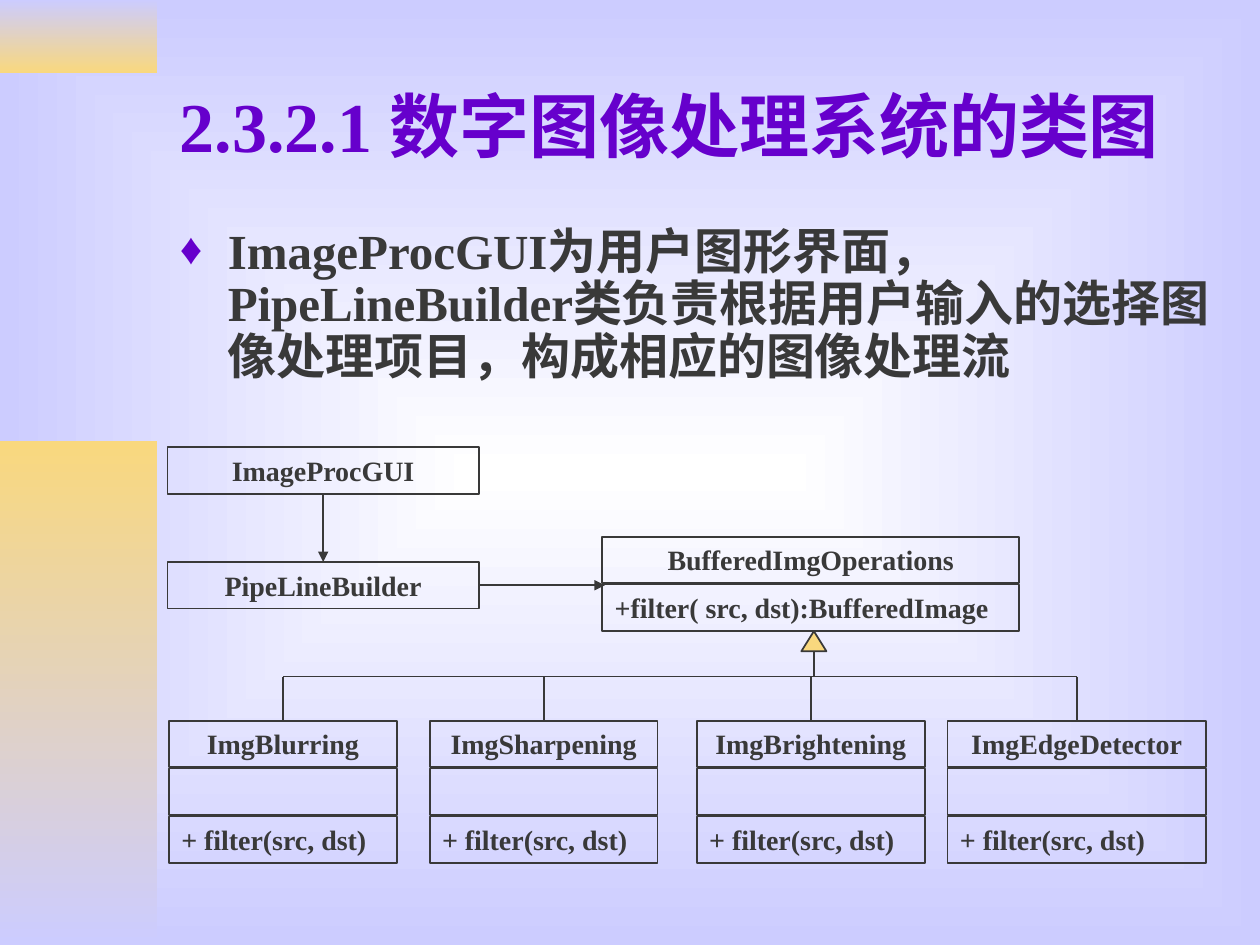
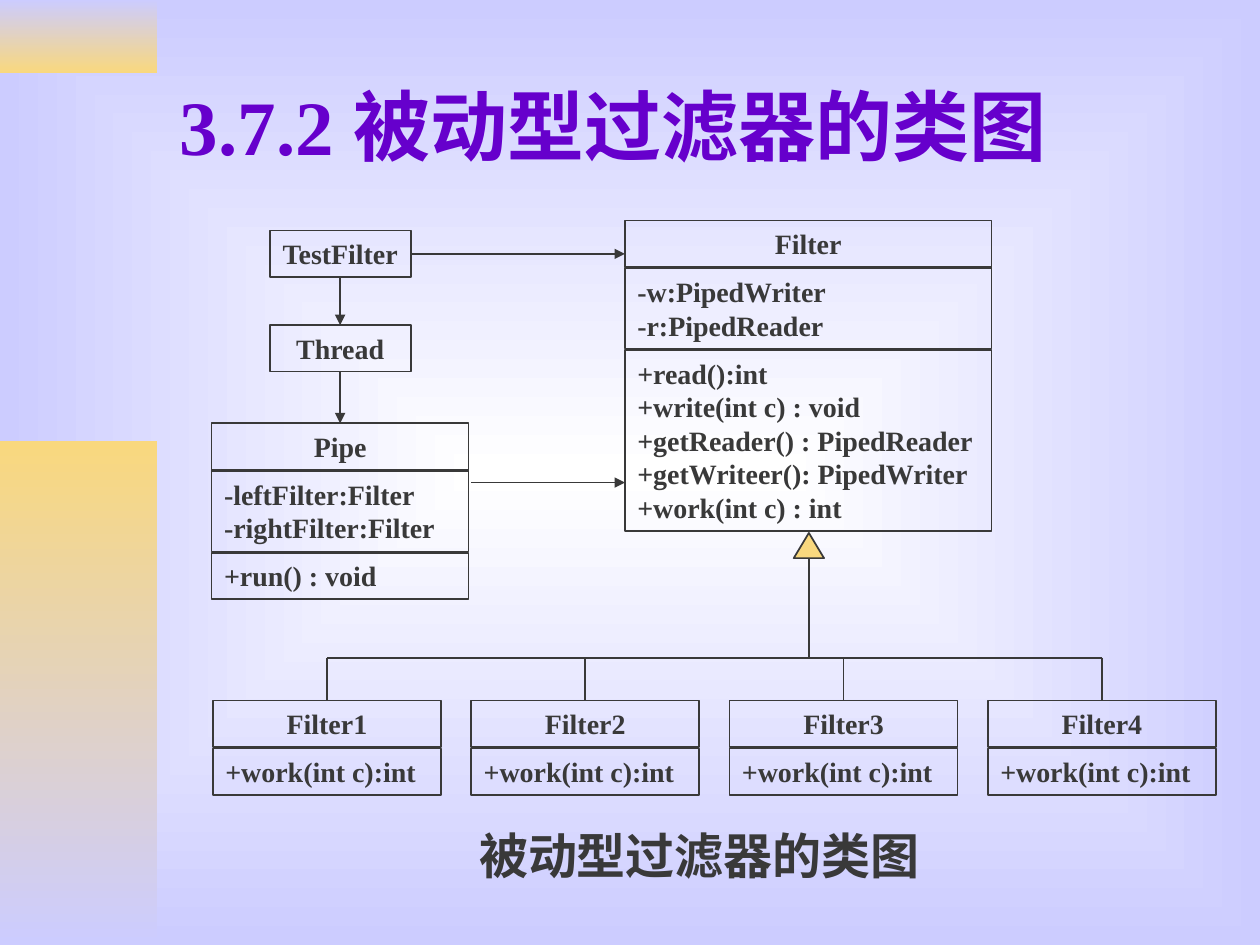
from dataclasses import dataclass

from lxml.etree import SubElement
from pptx import Presentation
from pptx.dml.color import RGBColor
from pptx.enum.lang import MSO_LANGUAGE_ID
from pptx.enum.shapes import MSO_CONNECTOR, MSO_SHAPE
from pptx.enum.text import MSO_ANCHOR, PP_ALIGN
from pptx.oxml.ns import qn
from pptx.util import Inches, Pt


@dataclass(frozen=True)
class Theme:
    font: str = "Times New Roman"
    title: RGBColor = RGBColor(0x66, 0x00, 0xCC)
    ink: RGBColor = RGBColor(0x39, 0x39, 0x39)
    gold: RGBColor = RGBColor(0xF9, 0xD8, 0x7E)
    lavender: RGBColor = RGBColor(0xCC, 0xCC, 0xFF)
    white: RGBColor = RGBColor(0xFF, 0xFF, 0xFF)
    body_size: int = 28
    class_size: int = 16
    line_width: int = 1


theme = Theme()
deck = Presentation()
deck.slide_width, deck.slide_height = Inches(10), Inches(7.5)

# Grid of 100 columns and 75 rows
COLUMN = deck.slide_width / 100
ROW = deck.slide_height / 75

# Class box sections: one text line, each further line, gap between sections
SECTION, EXTRA_LINE, GAP = 3.7, 2.67, 0.1
TOP, BOTTOM, RIGHT = 0, 2, 3


def write(box, lines, size, color, align=PP_ALIGN.LEFT, anchor=MSO_ANCHOR.TOP):
    frame = box.text_frame
    frame.word_wrap = True
    frame.vertical_anchor = anchor
    for index, line in enumerate(lines):
        para = frame.paragraphs[0] if index == 0 else frame.add_paragraph()
        para.alignment = align
        span = para.add_run()
        span.text = line
        span.font.name = theme.font
        span.font.size = Pt(size)
        span.font.bold = True
        span.font.color.rgb = color
        span.font.language_id = MSO_LANGUAGE_ID.SIMPLIFIED_CHINESE
    return frame.paragraphs[0]


def connect(page, boxes, start, end, arrow=False):
    """Each end is a grid point or a (class name, side) pair."""
    points = [(0, 0) if end_[0] in boxes else end_ for end_ in (start, end)]
    (x1, y1), (x2, y2) = [(int(x * COLUMN), int(y * ROW)) for x, y in points]
    line = page.shapes.add_connector(MSO_CONNECTOR.STRAIGHT, x1, y1, x2, y2)
    if start[0] in boxes:
        line.begin_connect(boxes[start[0]], start[1])
    if end[0] in boxes:
        line.end_connect(boxes[end[0]], end[1])
    line.line.color.rgb = theme.ink
    line.line.width = Pt(theme.line_width)
    if arrow:
        SubElement(line.line._get_or_add_ln(), qn("a:tailEnd"), type="triangle")
    SubElement(line._element.spPr, qn("a:effectLst"))


# Shared background: white centre fading to lavender
backdrop = deck.slide_master.background.fill
backdrop.gradient()
for stop, color in zip(backdrop.gradient_stops, (theme.white, theme.lavender)):
    stop.color.rgb = color
linear = deck.slide_master.element.xpath(".//p:bg//a:lin")[0]
fill_element = linear.getparent()
fill_element.remove(linear)
radial = SubElement(fill_element, qn("a:path"), path="rect")
SubElement(radial, qn("a:fillToRect"), l="50000", t="50000", r="50000", b="50000")

# Shared side bands: top row, height, upper colour, lower colour
bands = [(0, 5.8, theme.lavender, theme.gold), (35, 40, theme.gold, theme.lavender)]

# Class: name -> left, top, width, sections below the name
image_filters = ["ImgBlurring", "ImgSharpening", "ImgBrightening", "ImgEdgeDetector"]
image_lefts = [13.4, 34.1, 55.3, 75.2]
image_widths = [18.1, 18.1, 18.1, 20.5]
image_classes = {
    "ImageProcGUI": (13.3, 35.5, 24.7, []),
    "PipeLineBuilder": (13.3, 44.6, 24.7, []),
    "BufferedImgOperations": (47.8, 42.6, 33.1, [["+filter( src, dst):BufferedImage"]]),
}
for name, left, width in zip(image_filters, image_lefts, image_widths):
    image_classes[name] = (left, 57.2, width, [[""], ["+ filter(src, dst)"]])

passive_filters = [f"Filter{number}" for number in range(1, 5)]
passive_classes = {
    "TestFilter": (21.4, 18.3, 11.2, []),
    "Thread": (21.4, 25.8, 11.2, []),
    "Pipe": (16.8, 33.6, 20.4,
             [["-leftFilter:Filter", "-rightFilter:Filter"], ["+run() : void"]]),
    "Filter": (49.6, 17.5, 29.1, [
        ["-w:PipedWriter", "-r:PipedReader"],
        ["+read():int", "+write(int c) : void", "+getReader() : PipedReader",
         "+getWriteer(): PipedWriter", "+work(int c) : int"],
    ]),
}
for index, name in enumerate(passive_filters):
    passive_classes[name] = (16.9 + 20.5 * index, 55.6, 18.1, [["+work(int c):int"]])

# Inheritance: triangle left, top, width, height, then the row of the shared line
pages = [
    dict(
        title="2.3.2.1 数字图像处理系统的类图", title_size=40,
        body="ImageProcGUI为用户图形界面，PipeLineBuilder类负责根据用户输入的"
             "选择图像处理项目，构成相应的图像处理流",
        body_area=(13.3, 17.5, 84.7, 14.1), bulleted=True,
        classes=image_classes, children=image_filters,
        arrows=[(("ImageProcGUI", BOTTOM), ("PipeLineBuilder", TOP)),
                (("PipeLineBuilder", RIGHT), (48, 46.45))],
        triangle=(63.6, 50.1, 2, 1.6), trunk_row=53.7,
    ),
    dict(
        title="3.7.2 被动型过滤器的类图", title_size=44,
        body="被动型过滤器的类图",
        body_area=(13, 65.9, 85, 5.2), bulleted=False,
        classes=passive_classes, children=passive_filters,
        arrows=[(("TestFilter", BOTTOM), ("Thread", TOP)),
                (("Thread", BOTTOM), ("Pipe", TOP)),
                (("TestFilter", RIGHT), (49.6, 20.15)),
                ((37.4, 38.3), (49.6, 38.3))],
        triangle=(63, 42.3, 2.4, 2), trunk_row=52.2,
    ),
]

for content in pages:
    page = deck.slides.add_slide(deck.slide_layouts[6])

    # Side bands
    for top, height, upper, lower in bands:
        band = page.shapes.add_shape(
            MSO_SHAPE.RECTANGLE, 0, int(top * ROW), int(12.5 * COLUMN), int(height * ROW))
        band.shadow.inherit = False
        band.line.fill.background()
        band.fill.gradient()
        band.fill.gradient_angle = 270
        for stop, color in zip(band.fill.gradient_stops, (upper, lower)):
            stop.color.rgb = color

    # Title
    title = page.shapes.add_textbox(
        int(13.3 * COLUMN), int(3.3 * ROW), int(85 * COLUMN), int(13.2 * ROW))
    write(title, [content["title"]], content["title_size"], theme.title,
          anchor=MSO_ANCHOR.MIDDLE)

    # Body paragraph or caption
    left, top, width, height = content["body_area"]
    body = page.shapes.add_textbox(
        int(left * COLUMN), int(top * ROW), int(width * COLUMN), int(height * ROW))
    align = PP_ALIGN.LEFT if content["bulleted"] else PP_ALIGN.CENTER
    para = write(body, [content["body"]], theme.body_size, theme.ink, align)
    if content["bulleted"]:
        settings = para._p.get_or_add_pPr()
        settings.set("marL", str(Inches(0.38)))
        settings.set("indent", str(-Inches(0.38)))
        bullet_color = SubElement(settings, qn("a:buClr"))
        SubElement(bullet_color, qn("a:srgbClr"), val=str(theme.title))
        SubElement(settings, qn("a:buSzPct"), val="90000")
        SubElement(settings, qn("a:buFont"), typeface=theme.font)
        SubElement(settings, qn("a:buChar"), char="♦")
    para.line_spacing = 0.9 if content["bulleted"] else 0.8

    # Class boxes: name section on top, members stacked below
    boxes = {}
    for name, (left, top, width, members) in content["classes"].items():
        for index, lines in enumerate([[name], *members]):
            height = SECTION + EXTRA_LINE * (len(lines) - 1)
            box = page.shapes.add_shape(
                MSO_SHAPE.RECTANGLE, int(left * COLUMN), int(top * ROW),
                int(width * COLUMN), int(height * ROW))
            box.shadow.inherit = False
            box.fill.background()
            box.line.color.rgb = theme.ink
            box.line.width = Pt(theme.line_width)
            if lines != [""]:
                align = PP_ALIGN.LEFT if index else PP_ALIGN.CENTER
                write(box, lines, theme.class_size, theme.ink, align)
            if index == 0:
                boxes[name] = box
            top += height + GAP

    # Associations
    for start, end in content["arrows"]:
        connect(page, boxes, start, end, arrow=True)

    # Inheritance triangle, stem, trunk and branches
    left, top, width, height = content["triangle"]
    triangle = page.shapes.add_shape(
        MSO_SHAPE.ISOSCELES_TRIANGLE, int(left * COLUMN), int(top * ROW),
        int(width * COLUMN), int(height * ROW))
    triangle.shadow.inherit = False
    triangle.fill.solid()
    triangle.fill.fore_color.rgb = theme.gold
    triangle.line.color.rgb = theme.ink
    triangle.line.width = Pt(theme.line_width)
    trunk = content["trunk_row"]
    stem = left + width / 2
    connect(page, boxes, (stem, top + height), (stem, trunk))
    centres = []
    for child in content["children"]:
        child_left, _, child_width, _ = content["classes"][child]
        centres.append(child_left + child_width / 2)
        connect(page, boxes, (centres[-1], trunk), (child, TOP))
    connect(page, boxes, (centres[0], trunk), (centres[-1], trunk))

deck.save("out.pptx")
